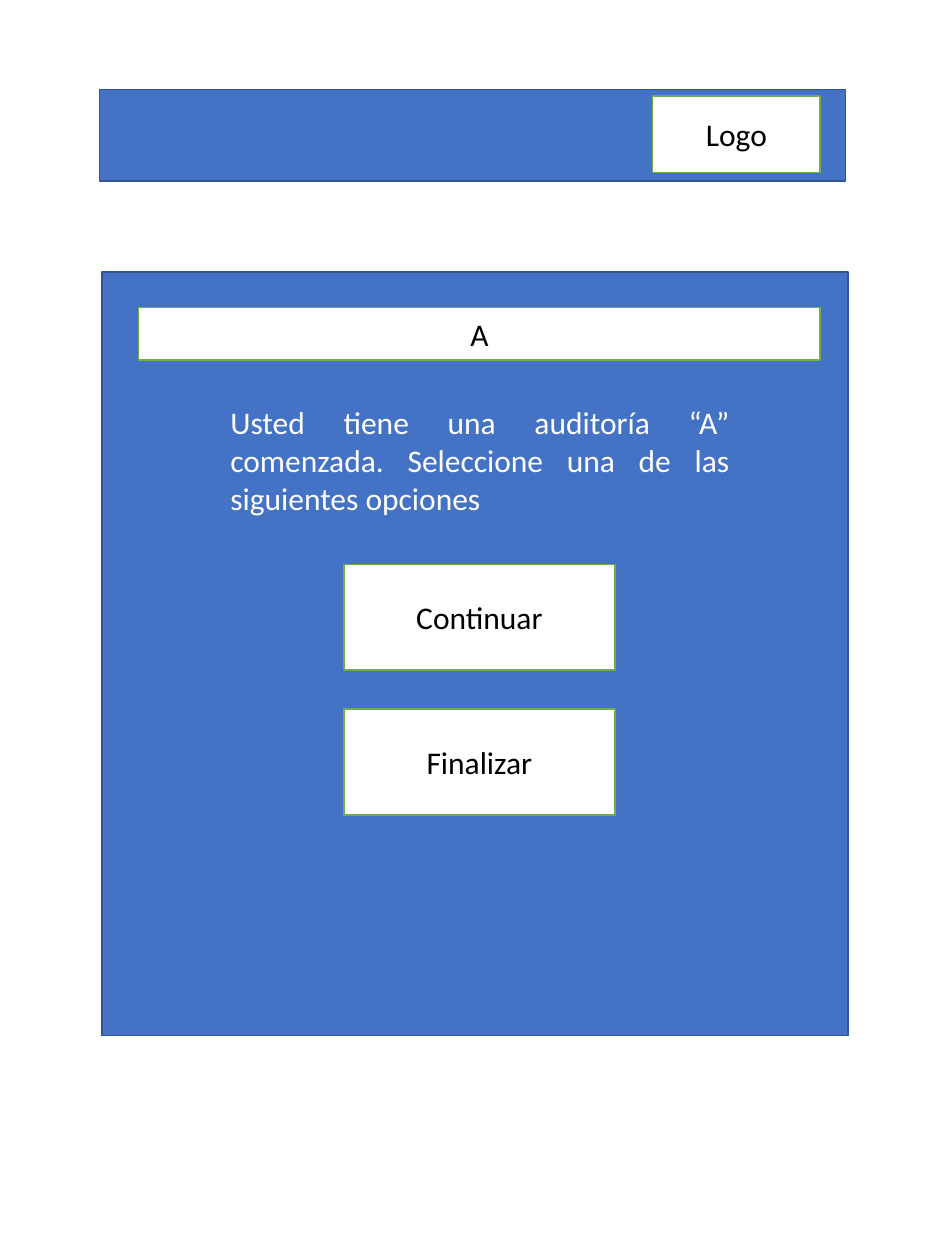
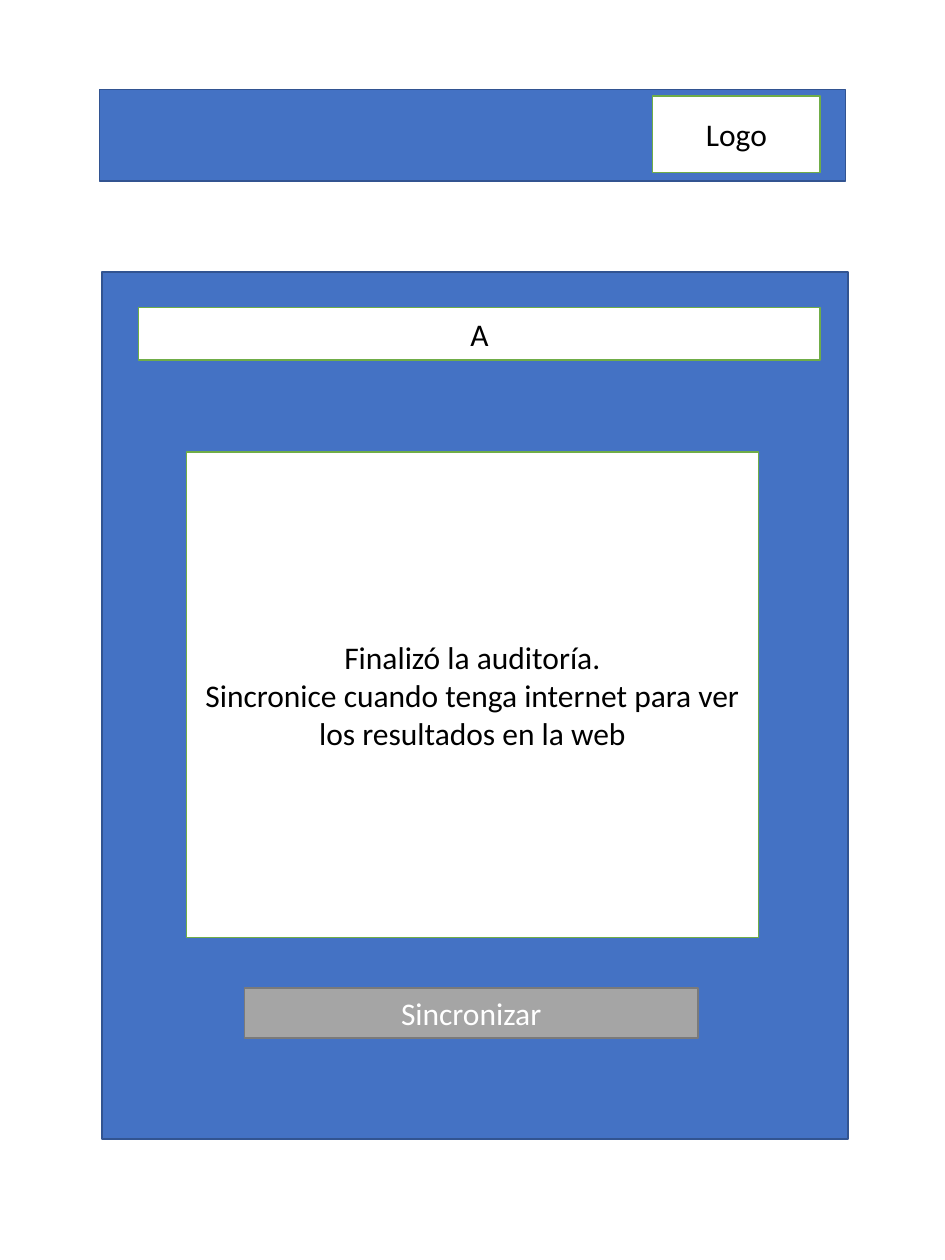
from pptx import Presentation
from pptx.dml.color import RGBColor
from pptx.enum.shapes import MSO_SHAPE
from pptx.enum.text import MSO_ANCHOR, MSO_AUTO_SIZE, PP_ALIGN
from pptx.util import Inches, Pt

RECT = MSO_SHAPE.RECTANGLE
MID, TOP = MSO_ANCHOR.MIDDLE, MSO_ANCHOR.TOP
MIDDLE, JUST = PP_ALIGN.CENTER, PP_ALIGN.JUSTIFY
FIXED = MSO_AUTO_SIZE.NONE

HUES = {"blue": "4472C4", "navy": "325491", "white": "FFFFFF", "green": "70AD47",
        "gray": "A5A5A5", "dark": "7A7A7A", "black": "000000"}
LOOKS = {"panel": ("blue", "navy", "white"),
         "card": ("white", "green", "black"),
         "off": ("gray", "dark", "white")}
FONT = {"name": "Calibri", "size": Pt(18), "bold": False}


def write(shape, text, hue, align=MIDDLE, anchor=MID):
    frame = shape.text_frame
    frame.text = text
    for key, value in {"word_wrap": True, "auto_size": FIXED,
                       "vertical_anchor": anchor}.items():
        setattr(frame, key, value)
    for para in frame.paragraphs:
        para.alignment = align
        for key, value in FONT.items():
            setattr(para.font, key, value)
        para.font.color.rgb = RGBColor.from_string(HUES[hue])


def box(slide, look, area, text="", shape=None):
    sides = [Inches(side) for side in area]
    if shape is None:
        shape = slide.shapes.add_shape(RECT, *sides)
        shape.shadow.inherit = False
    for key, value in zip(("left", "top", "width", "height"), sides):
        setattr(shape, key, value)
    fill, line, ink = LOOKS[look]
    shape.fill.solid()
    shape.fill.fore_color.rgb = RGBColor.from_string(HUES[fill])
    shape.line.color.rgb = RGBColor.from_string(HUES[line])
    shape.line.width = Pt(1)
    if text:
        write(shape, text, ink)


deck = Presentation()
deck.slide_width, deck.slide_height = Inches(7.5), Inches(10)

pages = []
for tall in (6.06, 6.88):
    slide = deck.slides.add_slide(deck.slide_layouts[5])
    title = slide.shapes.title
    box(slide, "panel", (0.79, 0.71, 5.92, 0.73))
    box(slide, "panel", (0.81, 2.16, 5.92, tall))
    box(slide, "card", (5.18, 0.76, 1.33, 0.61), "Logo")
    box(slide, "card", (1.1, 2.44, 5.41, 0.42), "A", title)
    slide.shapes._spTree.append(title._element)
    pages.append(slide)

choice, finish = pages

for row, label in enumerate(("Continuar", "Finalizar")):
    box(choice, "card", (2.73, 4.48 + row * 1.15, 2.15, 0.84), label)
note = choice.shapes.add_textbox(Inches(1.73), Inches(3.15), Inches(4.16), Inches(1.01))
write(note, "Usted tiene una auditoría “A” comenzada. "
      "Seleccione una de las siguientes opciones", "white", JUST, TOP)

box(finish, "card", (1.48, 3.59, 4.54, 3.85),
    "Finalizó la auditoría.\n"
    "Sincronice cuando tenga internet para ver los resultados en la web")
box(finish, "off", (1.94, 7.84, 3.6, 0.4), "Sincronizar")

deck.save("out.pptx")
